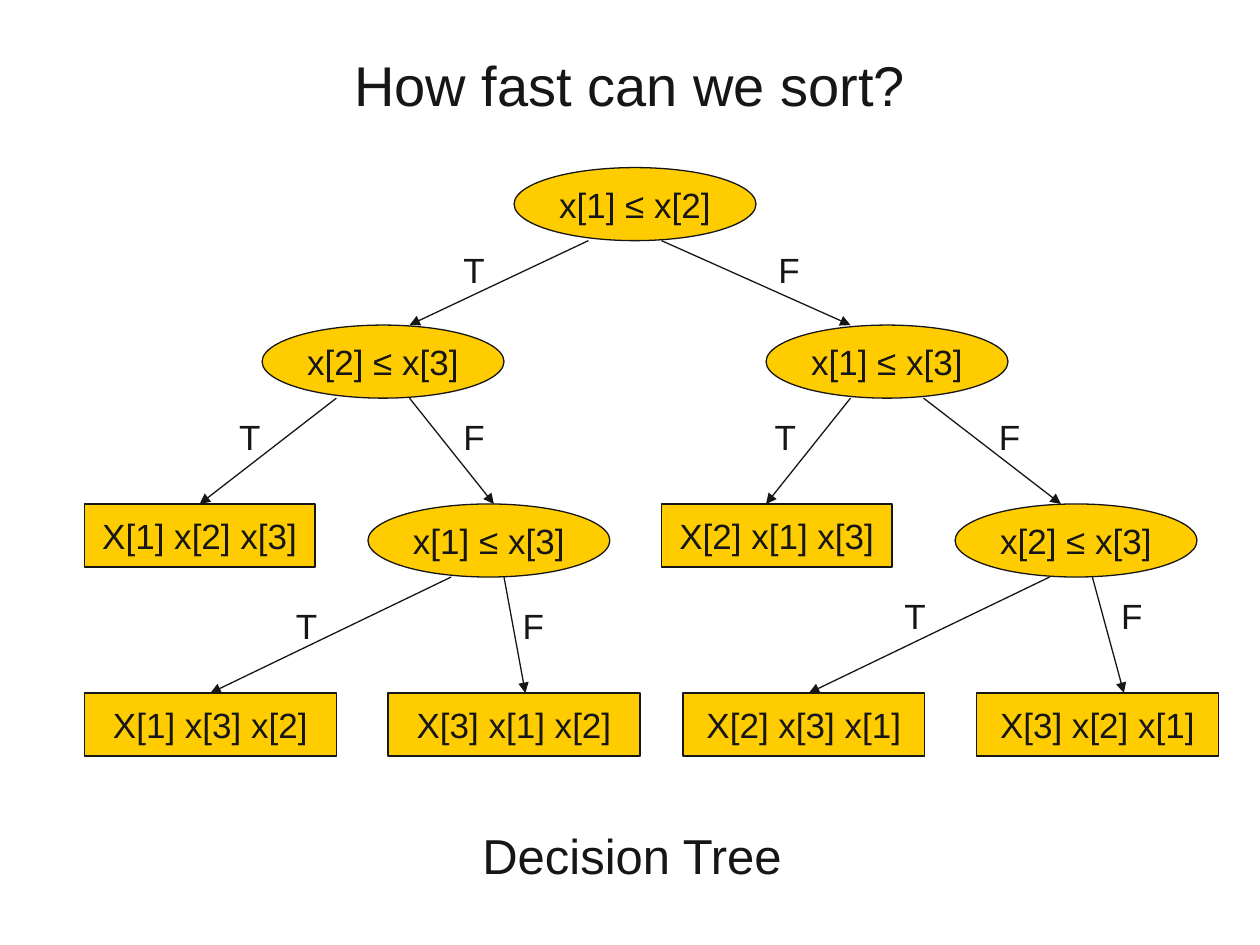
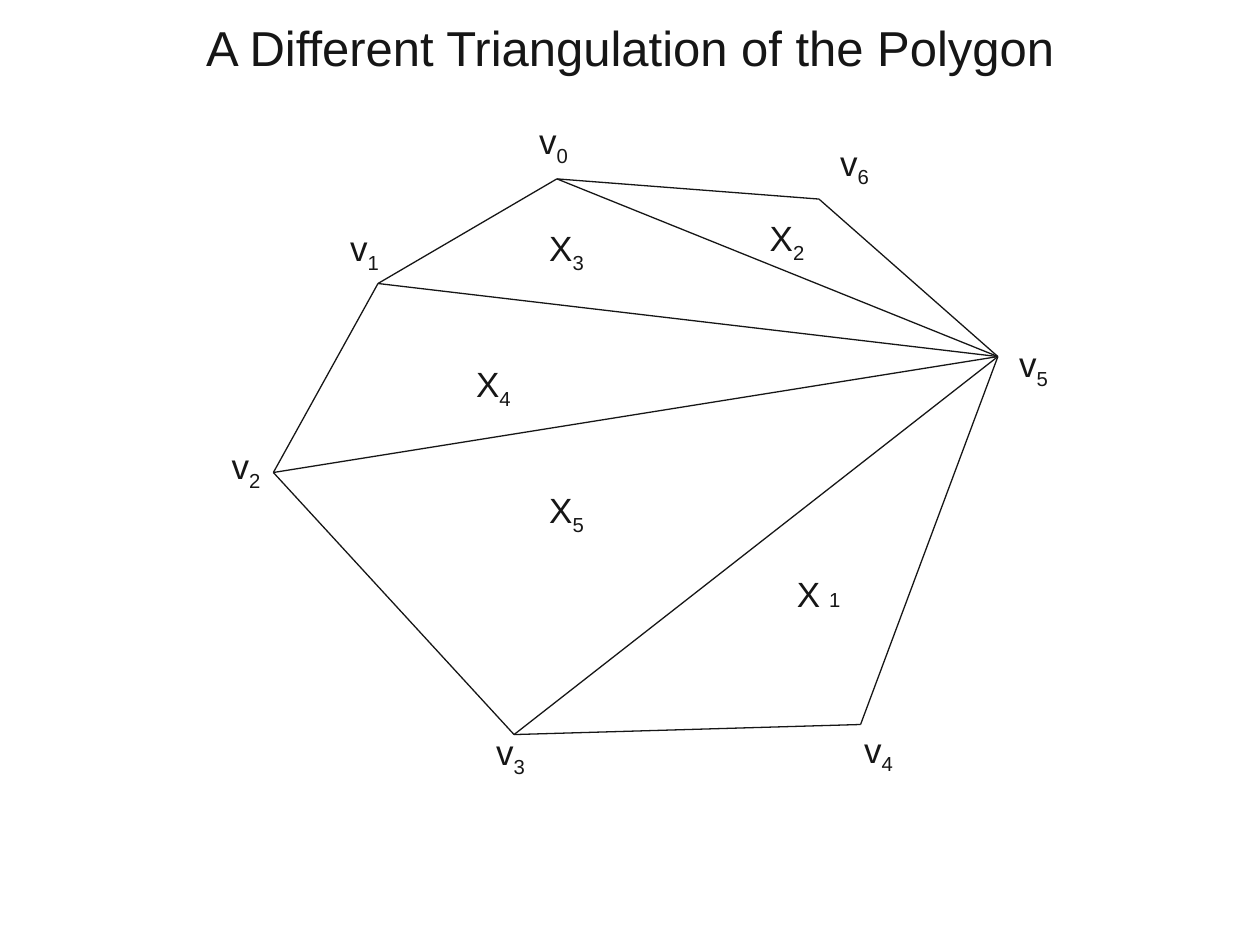
"""Build two algorithm slides: a sorting decision tree and a polygon triangulation."""
from dataclasses import dataclass

import lxml.etree
import pptx
import pptx.dml.color
import pptx.enum.shapes
import pptx.enum.text
import pptx.oxml.ns
import pptx.util

Inches = pptx.util.Inches
Shapes = pptx.enum.shapes.MSO_SHAPE
Align = pptx.enum.text.PP_ALIGN
AutoSize = pptx.enum.text.MSO_AUTO_SIZE
Anchor = pptx.enum.text.MSO_ANCHOR


@dataclass(frozen=True)
class Theme:
    """Colours, font and type sizes shared by the slides."""
    ink: pptx.dml.color.RGBColor = pptx.dml.color.RGBColor.from_string("161616")
    node: pptx.dml.color.RGBColor = pptx.dml.color.RGBColor.from_string("FFCC00")
    font: str = "Arial"
    title: int = 32
    heading: int = 28
    body: int = 20
    line: float = 0.75


THEME = Theme()
TEST_SIZE = (1.92, 0.58)
LABEL_SIZE = (0.36, 0.44)
VERTEX_SIZE = (0.43, 0.48)
TRIANGLE_SIZE = (0.5, 0.48)

TESTS = {
    "root": ("x[1] ≤ x[2]", 4.08, 1.33),
    "right": ("x[1] ≤ x[3]", 6.08, 2.58),
    "left": ("x[2] ≤ x[3]", 2.08, 2.58),
    "left inner": ("x[1] ≤ x[3]", 2.92, 4),
    "right outer": ("x[2] ≤ x[3]", 7.58, 4),
}
ORDERS = {
    "123": ("X[1] x[2] x[3]", 0.67, 4, 1.83),
    "213": ("X[2] x[1] x[3]", 5.25, 4, 1.83),
    "132": ("X[1] x[3] x[2]", 0.67, 5.5, 2),
    "312": ("X[3] x[1] x[2]", 3.08, 5.5, 2),
    "231": ("X[2] x[3] x[1]", 5.42, 5.5, 1.92),
    "321": ("X[3] x[2] x[1]", 7.75, 5.5, 1.92),
}
BRANCHES = [
    ("root", "left", 4.67, 3.25, "T", 3.58, 1.92),
    ("root", "right", 5.25, 6.75, "F", 6.08, 1.92),
    ("left", "left inner", 3.25, 3.92, "F", 3.58, 3.25),
    ("left", "123", 2.67, 1.58, "T", 1.8, 3.25),
    ("right", "213", 6.75, 6.08, "T", 6.05, 3.25),
    ("right", "right outer", 7.33, 8.42, "F", 7.83, 3.25),
    ("left inner", "132", 3.58, 1.67, "T", 2.25, 4.75),
    ("left inner", "312", 4, 4.17, "F", 4.05, 4.75),
    ("right outer", "231", 8.33, 6.42, "T", 7.08, 4.67),
    ("right outer", "321", 8.67, 8.92, "F", 8.8, 4.67),
]
CENTRED_ORDERS = ("123", "132")

VERTICES = [(4.42, 1.42), (3, 2.25), (2.17, 3.75), (4.08, 5.83),
            (6.83, 5.75), (7.92, 2.83), (6.5, 1.58)]
VERTEX_LABELS = [(4.18, 0.9), (2.68, 1.75), (1.74, 3.48), (3.84, 5.75),
                 (6.76, 5.73), (7.99, 2.67), (6.57, 1.07)]
TRIANGLE_LABELS = {"2": (6.01, 1.67), "3": (4.26, 1.75),
                   "4": (3.68, 2.83), "5": (4.26, 3.83)}
APEX = 5


def apply(target, formats):
    """Set every attribute named in a dict of format values."""
    for name, value in formats.items():
        setattr(target, name, value)


def write(box, text, size, subscript="", align=Align.CENTER, **frame_formats):
    """Put styled text, with an optional subscript, into a shape."""
    apply(box.text_frame, frame_formats)
    para = box.text_frame.paragraphs[0]
    para.alignment = align
    for part in filter(None, (text, subscript)):
        span = para.add_run()
        span.text = part
        apply(span.font, {"name": THEME.font, "size": pptx.util.Pt(size)})
        span.font.color.rgb = THEME.ink
    if subscript:
        span.font._element.set("baseline", "-25000")


def add_page(deck, title, size, top, height):
    """Add a title-only slide with its title placed and styled."""
    page = deck.slides.add_slide(deck.slide_layouts[5])
    box = page.shapes.title
    apply(box, {"left": Inches(0.5), "top": Inches(top),
                "width": Inches(9), "height": Inches(height)})
    write(box, title, size, auto_size=AutoSize.NONE,
          vertical_anchor=Anchor.MIDDLE)
    return page


def add_label(page, text, left, top, width, height, size=THEME.body,
              subscript="", align=Align.LEFT, wrap=False):
    """Add a free text label and return it."""
    box = page.shapes.add_textbox(*map(Inches, (left, top, width, height)))
    write(box, text, size, subscript, align, word_wrap=wrap,
          auto_size=AutoSize.SHAPE_TO_FIT_TEXT)
    return box


def add_node(page, kind, text, left, top, width, height):
    """Add a filled tree node and return it."""
    node = page.shapes.add_shape(kind, *map(Inches, (left, top, width, height)))
    node.shadow.inherit = False
    node.fill.solid()
    node.fill.fore_color.rgb = THEME.node
    style_line(node.line)
    write(node, text, THEME.body, word_wrap=False, vertical_anchor=Anchor.MIDDLE)
    return node


def style_line(line):
    """Give a line the shared colour and width."""
    line.color.rgb = THEME.ink
    line.width = pptx.util.Pt(THEME.line)


def add_line(page, start, end, arrow=False):
    """Join two points with a straight line, with an arrowhead if asked."""
    line = page.shapes.add_connector(
        pptx.enum.shapes.MSO_CONNECTOR.STRAIGHT, *map(Inches, (*start, *end)))
    style_line(line.line)
    if arrow:
        lxml.etree.SubElement(line.line._get_or_add_ln(),
                              pptx.oxml.ns.qn("a:tailEnd"), type="triangle")
    lxml.etree.SubElement(line._element.spPr, pptx.oxml.ns.qn("a:effectLst"))
    return line


def build_decision_tree(deck):
    """Draw the decision tree for sorting three values."""
    page = add_page(deck, "How fast can we sort?", THEME.title, 0.33, 0.67)
    orders = {name: add_node(page, Shapes.RECTANGLE, *order, 0.5)
              for name, order in ORDERS.items()}
    for test in TESTS.values():
        add_node(page, Shapes.OVAL, *test, *TEST_SIZE)
    tops = {name: node[2] for name, node in {**TESTS, **ORDERS}.items()}
    for parent, child, start, end, answer, left, top in BRANCHES:
        branch = add_line(page, (start, tops[parent] + TEST_SIZE[1]),
                          (end, tops[child]), arrow=True)
        if child in CENTRED_ORDERS:
            branch.end_connect(orders[child], 0)
        add_label(page, answer, left, top, *LABEL_SIZE, wrap=True)
    add_label(page, "Decision Tree", 3.72, 6.5, 2.59, 0.57,
              size=THEME.heading, align=Align.CENTER)


def build_triangulation(deck):
    """Draw the polygon fanned into triangles from one vertex."""
    page = add_page(deck, "A Different Triangulation of the Polygon",
                    THEME.heading, 0.25, 0.25)
    for index, vertex in enumerate(VERTICES):
        add_line(page, vertex, VERTICES[(index + 1) % len(VERTICES)])
        add_label(page, "v", *VERTEX_LABELS[index], *VERTEX_SIZE,
                  subscript=str(index))
    for vertex in VERTICES[:APEX - 1]:
        add_line(page, vertex, VERTICES[APEX])
    for number, place in TRIANGLE_LABELS.items():
        add_label(page, "X", *place, *TRIANGLE_SIZE, subscript=number)
    turned = add_label(page, "X", 6.33, 4.39, 0.58, 0.79,
                       subscript="1", wrap=True)
    turned.rotation = 270
    apply(turned.text_frame, {
        "margin_left": Inches(0.05), "margin_right": Inches(0.05),
        "margin_top": Inches(0.1), "margin_bottom": Inches(0.1)})
    turned.text_frame._txBody.bodyPr.set("vert", "eaVert")


def main():
    """Build and save the deck."""
    deck = pptx.Presentation()
    apply(deck, {"slide_width": Inches(10), "slide_height": Inches(7.5)})
    build_decision_tree(deck)
    build_triangulation(deck)
    deck.save("out.pptx")


if __name__ == "__main__":
    main()
